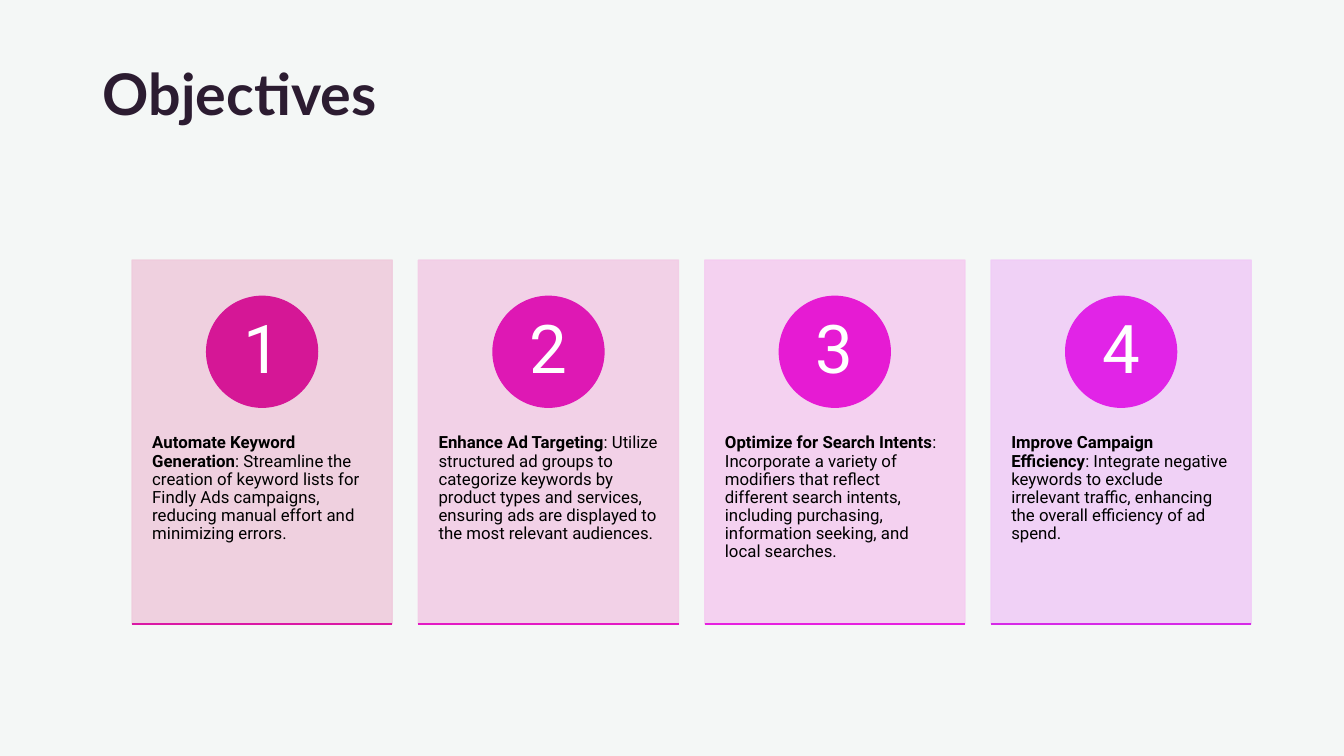
from lxml.etree import SubElement
from pptx import Presentation
from pptx.dml.color import RGBColor
from pptx.enum.shapes import MSO_CONNECTOR as Connector, MSO_SHAPE as Preset
from pptx.enum.text import MSO_ANCHOR as Anchor, PP_ALIGN as Align
from pptx.oxml.ns import qn
from pptx.util import Inches, Pt

COLORS = {"page": "F4F7F6", "title": "2C1C31", "body": "000000", "number": "FFFFFF"}
CARD_LEFT, CARD_TOP, CARD_WIDTH, CARD_HEIGHT = 1.31, 2.58, 2.58, 3.61
CARD_STEP = 2.84
CIRCLE_TOP, CIRCLE_SIZE, NUMBER_SIZE = 2.94, 1.1, 0.77
OBJECTIVES = [
    ("Automate Keyword Generation",
     ": Streamline the creation of keyword lists for Findly Ads campaigns, "
     "reducing manual effort and minimizing errors.",
     "EFCCDD", "D51796", "DA18A5"),
    ("Enhance Ad Targeting",
     ": Utilize structured ad groups to categorize keywords by product types "
     "and services, ensuring ads are displayed to the most relevant audiences.",
     "F2CDE6", "DE18B4", "E319C4"),
    ("Optimize for Search Intents",
     ": Incorporate a variety of modifiers that reflect different search intents, "
     "including purchasing, information seeking, and local searches.",
     "F4CDF0", "E61BD3", "E620E0"),
    ("Improve Campaign Efficiency",
     ": Integrate negative keywords to exclude irrelevant traffic, enhancing "
     "the overall efficiency of ad spend.",
     "F0CDF6", "E124E7", "D629E7"),
]


def rgb(value):
    """Return the colour for a hex string."""
    return RGBColor.from_string(value)


def add_filled(page, preset, area, color, opacity=100):
    """Add a shape whose fill and outline share one colour and opacity."""
    shape = page.shapes.add_shape(preset, *map(Inches, area))
    shape.shadow.inherit = False
    shape.line.width = Pt(1)
    for fill in (shape.fill, shape.line.fill):
        fill.solid()
        fill.fore_color.rgb = rgb(color)
    if opacity < 100:
        for element in shape._element.spPr.iter(qn("a:srgbClr")):
            SubElement(element, qn("a:alpha"), val=str(opacity * 1000))


def add_text(page, area, parts, font, size, color, insets=(0.1, 0.05),
             align=Align.LEFT, anchor=Anchor.TOP):
    """Add a wrapped text box from (text, bold) parts."""
    box = page.shapes.add_textbox(*map(Inches, area))
    frame = box.text_frame
    frame.word_wrap = True
    frame.vertical_anchor = anchor
    frame.margin_left = frame.margin_right = Inches(insets[0])
    frame.margin_top = frame.margin_bottom = Inches(insets[1])
    para = frame.paragraphs[0]
    para.alignment = align
    para.line_spacing = 0.9
    for text, bold in parts:
        span = para.add_run()
        span.text = text
        span.font.name = font
        span.font.size = Pt(size)
        span.font.bold = bold
        span.font.color.rgb = rgb(color)


def add_rule(page, left, top, width, color):
    """Add a thin horizontal line."""
    rule = page.shapes.add_connector(
        Connector.STRAIGHT, Inches(left), Inches(top), Inches(left + width), Inches(top))
    rule.line.width = Pt(1)
    rule.line.color.rgb = rgb(color)
    SubElement(rule._element.spPr, qn("a:effectLst"))


def add_card(page, index, heading, detail, tint, accent, edge):
    """Add one numbered objective card."""
    left = CARD_LEFT + index * CARD_STEP
    circle_left = left + (CARD_WIDTH - CIRCLE_SIZE) / 2
    inner = (CIRCLE_SIZE - NUMBER_SIZE) / 2
    add_filled(page, Preset.RECTANGLE, (left, CARD_TOP, CARD_WIDTH, CARD_HEIGHT), tint, 90)
    add_text(page, (left, 3.95, CARD_WIDTH, 2.17), [(heading, True), (detail, False)],
             "Roboto", 12, COLORS["body"], (0.2, 0.36))
    add_filled(page, Preset.OVAL, (circle_left, CIRCLE_TOP, CIRCLE_SIZE, CIRCLE_SIZE), accent)
    add_text(page, (circle_left + inner, CIRCLE_TOP + inner, NUMBER_SIZE, NUMBER_SIZE),
             [(str(index + 1), False)], "Roboto", 48, COLORS["number"], (0.08, 0.01),
             Align.CENTER, Anchor.MIDDLE)
    add_rule(page, left, CARD_TOP + CARD_HEIGHT, CARD_WIDTH, edge)


def main():
    """Build the objectives slide and save it."""
    deck = Presentation()
    deck.slide_width, deck.slide_height = Inches(13.33), Inches(7.5)
    page = deck.slides.add_slide(deck.slide_layouts[6])
    page.background.fill.solid()
    page.background.fill.fore_color.rgb = rgb(COLORS["page"])
    add_text(page, (0.92, 0.61, 11.32, 1.4), [("Objectives", True)],
             "Lato", 41, COLORS["title"])
    for index, objective in enumerate(OBJECTIVES):
        add_card(page, index, *objective)
    deck.save("out.pptx")


if __name__ == "__main__":
    main()
